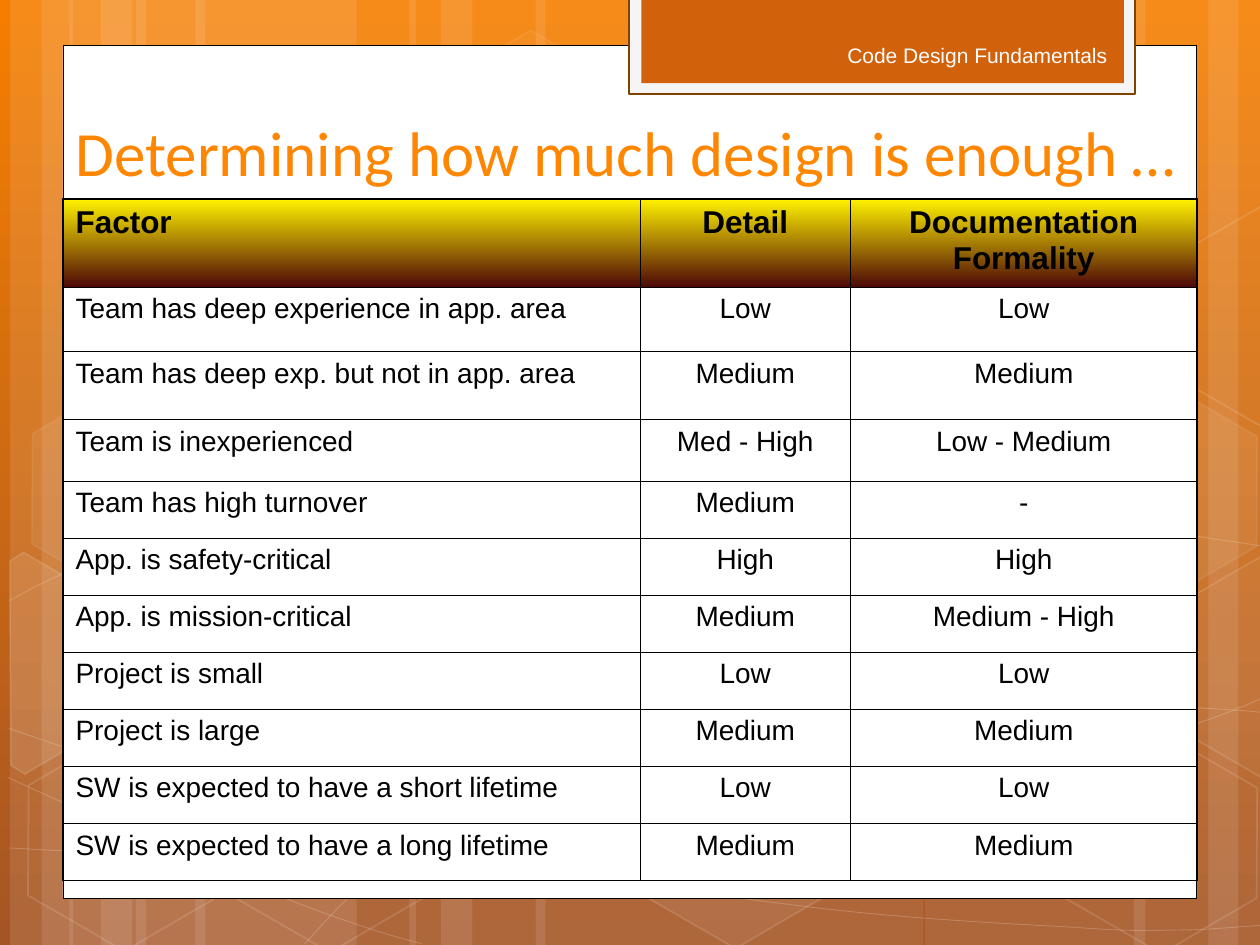
from math import cos, radians, sin

from lxml.etree import SubElement
from pptx import Presentation
from pptx.dml.color import RGBColor
from pptx.enum.shapes import MSO_SHAPE
from pptx.enum.text import MSO_ANCHOR, MSO_AUTO_SIZE, PP_ALIGN
from pptx.oxml import parse_xml
from pptx.oxml.ns import nsdecls, qn
from pptx.util import Inches, Pt


def style(shape, fill=None, fill_alpha=100, line=None, width=1, line_alpha=100):
    """Set fill and line; alphas are percentages of opacity."""
    shape.shadow.inherit = False
    for part, color, alpha, query in (
        (shape.fill, fill, fill_alpha, "./a:solidFill/a:srgbClr"),
        (shape.line.fill, line, line_alpha, "./a:ln/a:solidFill/a:srgbClr"),
    ):
        if color is None:
            part.background()
            continue
        part.solid()
        part.fore_color.rgb = RGBColor.from_string(color)
        if alpha < 100:
            node = shape.element.spPr.xpath(query)[0]
            SubElement(node, qn("a:alpha"), val=str(alpha * 1000))
    if line:
        shape.line.width = Pt(width)


def vertical_gradient(fill, top, bottom):
    fill.gradient()
    fill.gradient_angle = 270
    for stop, color in zip(fill.gradient_stops, (top, bottom)):
        stop.color.rgb = RGBColor.from_string(color)


deck = Presentation()
deck.slide_width, deck.slide_height = Inches(10), Inches(7.5)
slide = deck.slides.add_slide(deck.slide_layouts[5])
shapes = slide.shapes
vertical_gradient(slide.background.fill, "F57E00", "A55525")

# Translucent vertical stripes: left, width
stripes = [
    (1.08, 1.75), (0.08, 0.5), (0.33, 0.83), (1.55, 1.75), (0.55, 0.5), (0.8, 0.83),
    (7.34, 1.75), (9.59, 0.5), (9, 0.83), (4.25, 3.08), (3.25, 0.5), (3.5, 0.83),
]
for left, width in stripes:
    stripe = shapes.add_shape(
        MSO_SHAPE.RECTANGLE, Inches(left), 0, Inches(width), Inches(7.5))
    style(stripe, "FFFFFF", 10)

# Thin curves: a start point, then two controls and an end for each cubic segment
curves = [
    [(0.07, 6.73), (0.61, 6.76), (1.15, 6.79), (1.9, 6.78), (2.65, 6.77), (3.58, 6.75),
     (4.58, 6.65), (5.58, 6.55), (7, 6.36), (7.92, 6.17), (8.83, 5.98), (9.77, 5.68),
     (10.07, 5.51)],
    [(0.07, 4.77), (0.36, 4.61), (0.65, 4.46), (1.21, 4.31), (1.78, 4.16), (2.59, 3.94),
     (3.47, 3.87), (4.36, 3.8), (5.44, 3.79), (6.54, 3.87), (7.64, 3.95), (9.47, 4.26),
     (10.07, 4.34)],
    [(0.06, 6.17), (1.27, 6.72), (2.47, 7.27), (3.35, 7.49)],
    [(0.07, 5.78), (0.38, 5.89), (0.7, 6), (1.28, 6.16), (1.86, 6.31), (2.73, 6.56),
     (3.57, 6.73), (4.4, 6.9), (5.45, 7.08), (6.28, 7.18), (7.11, 7.29), (8, 7.33),
     (8.53, 7.36), (9.06, 7.4), (9.19, 7.38), (9.45, 7.38), (9.71, 7.37), (9.89, 7.35),
     (10.07, 7.34)],
    [(2.42, 7.49), (2.6, 7.29), (2.78, 7.09), (3.02, 6.91), (3.26, 6.72), (3.6, 6.53),
     (3.88, 6.39), (4.16, 6.25), (4.33, 6.19), (4.69, 6.09), (5.06, 5.99), (5.73, 5.85),
     (6.08, 5.78), (6.44, 5.71), (6.49, 5.71), (6.8, 5.69), (7.11, 5.66), (7.6, 5.63),
     (7.94, 5.62), (8.29, 5.61), (8.86, 5.62), (8.86, 5.62), (9.08, 5.62), (9.31, 5.62),
     (9.53, 5.62), (9.71, 5.63), (9.88, 5.64), (9.97, 5.65), (10.06, 5.66), (10.03, 5.65),
     (10.06, 5.66)],
]
for points in curves:
    points = [(Inches(x), Inches(y)) for x, y in points]
    builder = shapes.build_freeform(*points[0])
    builder.add_line_segments(points[1:], close=False)
    curve = builder.convert_to_shape()
    style(curve, line="FFFFFF", width=0.5, line_alpha=20)
    # Join every three straight segments into one cubic segment
    segments = curve.element.spPr.xpath(".//a:lnTo")
    for first in range(0, len(segments), 3):
        cubic = SubElement(segments[first].getparent(), qn("a:cubicBezTo"))
        for segment in segments[first:first + 3]:
            cubic.append(segment[0])
            segment.getparent().remove(segment)

# Hexagons: left, top, fill opacity, line opacity
hexagons = [
    (3.34, 0.36, 4, 8), (4.96, 5.89, 6, 12), (0.11, 5.91, 0, 12), (0.14, 3.12, 7, 8),
    (1.74, 5.92, 0, 12), (7.53, 4.53, 10, 12), (8.34, 5.93, 0, 12), (8.34, 3.14, 7, 8),
]
for left, top, fill_alpha, line_alpha in hexagons:
    hexagon = shapes.add_shape(
        MSO_SHAPE.HEXAGON, Inches(left), Inches(top), Inches(1.75), Inches(1.52))
    hexagon.adjustments[0] = 0.285
    hexagon.rotation = 30
    style(hexagon, "FFFFFF" if fill_alpha else None, fill_alpha, "FFFFFF", 1, line_alpha)

# Hexagons cut off by the slide edge: fill opacity, centre, corners as turned
cut_hexagons = [
    (10, (0.36, 5.36), [(0.08, 4.45), (0.19, 4.38), (0.96, 4.83), (0.95, 5.7),
                        (0.2, 6.14), (0.09, 6.07)]),
    (4, (9.85, 5.2), [(9.26, 4.85), (10.02, 4.41), (10.09, 4.46), (10.09, 6.13),
                      (10.02, 6.17), (9.26, 5.73)]),
    (0, (9.85, 2.41), [(9.26, 2.07), (10.02, 1.63), (10.1, 1.68), (10.09, 3.35),
                       (10.02, 3.39), (9.26, 2.95)]),
]
turn = radians(30)
for fill_alpha, (center_x, center_y), corners in cut_hexagons:
    upright = []
    for x, y in corners:
        dx, dy = x - center_x, y - center_y
        upright.append((Inches(center_x + dx * cos(turn) + dy * sin(turn)),
                        Inches(center_y - dx * sin(turn) + dy * cos(turn))))
    builder = shapes.build_freeform(*upright[0])
    builder.add_line_segments(upright[1:] + upright[:1])
    cut_hexagon = builder.convert_to_shape()
    cut_hexagon.rotation = 30
    style(cut_hexagon, "FFFFFF" if fill_alpha else None, fill_alpha, "FFFFFF", 1, 12)

# White page panel and the tab at its top
panels = [
    (0.5, 0.36, 9, 6.77, "FFFFFF", "000000", 0.5),
    (4.99, -0.02, 4.02, 0.77, "F5F5F5", "7F4300", 1.25),
    (5.09, -0.02, 3.83, 0.68, "D2610C", None, 0),
]
for left, top, width, height, fill, line, line_width in panels:
    panel = shapes.add_shape(
        MSO_SHAPE.RECTANGLE, Inches(left), Inches(top), Inches(width), Inches(height))
    style(panel, fill, line=line, width=line_width)

title = shapes.title
title.element.getparent().append(title.element)  # bring in front of the panels
title.left, title.top, title.width, title.height = (
    Inches(0.5), Inches(0.92), Inches(9), Inches(0.63))

rows = [
    ("Factor", "Detail", "Documentation Formality"),
    ("Team has deep experience in app. area", "Low", "Low"),
    ("Team has deep exp. but not in app. area", "Medium", "Medium"),
    ("Team is inexperienced", "Med - High", "Low - Medium"),
    ("Team has high turnover", "Medium", "-"),
    ("App. is safety-critical", "High", "High"),
    ("App. is mission-critical", "Medium", "Medium - High"),
    ("Project is small", "Low", "Low"),
    ("Project is large", "Medium", "Medium"),
    ("SW is expected to have a short lifetime", "Low", "Low"),
    ("SW is expected to have a long lifetime", "Medium", "Medium"),
]
column_widths = [4.58, 1.67, 2.75]
row_heights = [0.7, 0.51, 0.54, 0.49]
equal_rows = len(rows) - len(row_heights)
row_heights += [(5.41 - sum(row_heights)) / equal_rows] * equal_rows
table = shapes.add_table(
    len(rows), len(column_widths), Inches(0.5), Inches(1.58), Inches(9), Inches(5.41)).table
table.first_row = table.horz_banding = False
for column, width in zip(table.columns, column_widths):
    column.width = Inches(width)
for r, (texts, height) in enumerate(zip(rows, row_heights)):
    table.rows[r].height = Inches(height)
    for c, text in enumerate(texts):
        cell = table.cell(r, c)
        para = cell.text_frame.paragraphs[0]
        para.alignment = PP_ALIGN.CENTER if c else PP_ALIGN.LEFT
        span = para.add_run()
        span.text = text
        span.font.name, span.font.size = "Arial", Pt(16 if r else 18)
        span.font.bold = r == 0
        span.font.color.rgb = RGBColor.from_string("000000")
        if r:
            cell.fill.background()
        else:
            vertical_gradient(cell.fill, "FFF200", "4D0808")
        outer_sides = {"L": c == 0, "R": c == len(texts) - 1,
                       "T": r == 0, "B": r == len(rows) - 1}
        properties = cell._tc.get_or_add_tcPr()
        for index, (side, outer) in enumerate(outer_sides.items()):
            properties.insert(index, parse_xml(
                f'<a:ln{side} {nsdecls("a")} w="{Pt(1.08 if outer else 0.45)}">'
                f'<a:solidFill><a:srgbClr val="000000"/></a:solidFill></a:ln{side}>'))

course = shapes.add_textbox(Inches(6.56), Inches(0.24), Inches(2.33), Inches(0.4))
labels = [
    (title, "Determining how much design is enough …", "Calibri", 36, "FF8600",
     PP_ALIGN.LEFT, MSO_ANCHOR.BOTTOM),
    (course, "Code Design Fundamentals", "Arial", 12, "FEFEFE",
     PP_ALIGN.RIGHT, MSO_ANCHOR.MIDDLE),
]
for box, text, font, size, color, align, anchor in labels:
    frame = box.text_frame
    frame.word_wrap = True
    frame.auto_size = MSO_AUTO_SIZE.NONE
    frame.vertical_anchor = anchor
    para = frame.paragraphs[0]
    para.alignment = align
    span = para.add_run()
    span.text = text
    span.font.name, span.font.size = font, Pt(size)
    span.font.color.rgb = RGBColor.from_string(color)
title.text_frame.margin_top, title.text_frame.margin_bottom = 0, Inches(0.05)

deck.save("out.pptx")
